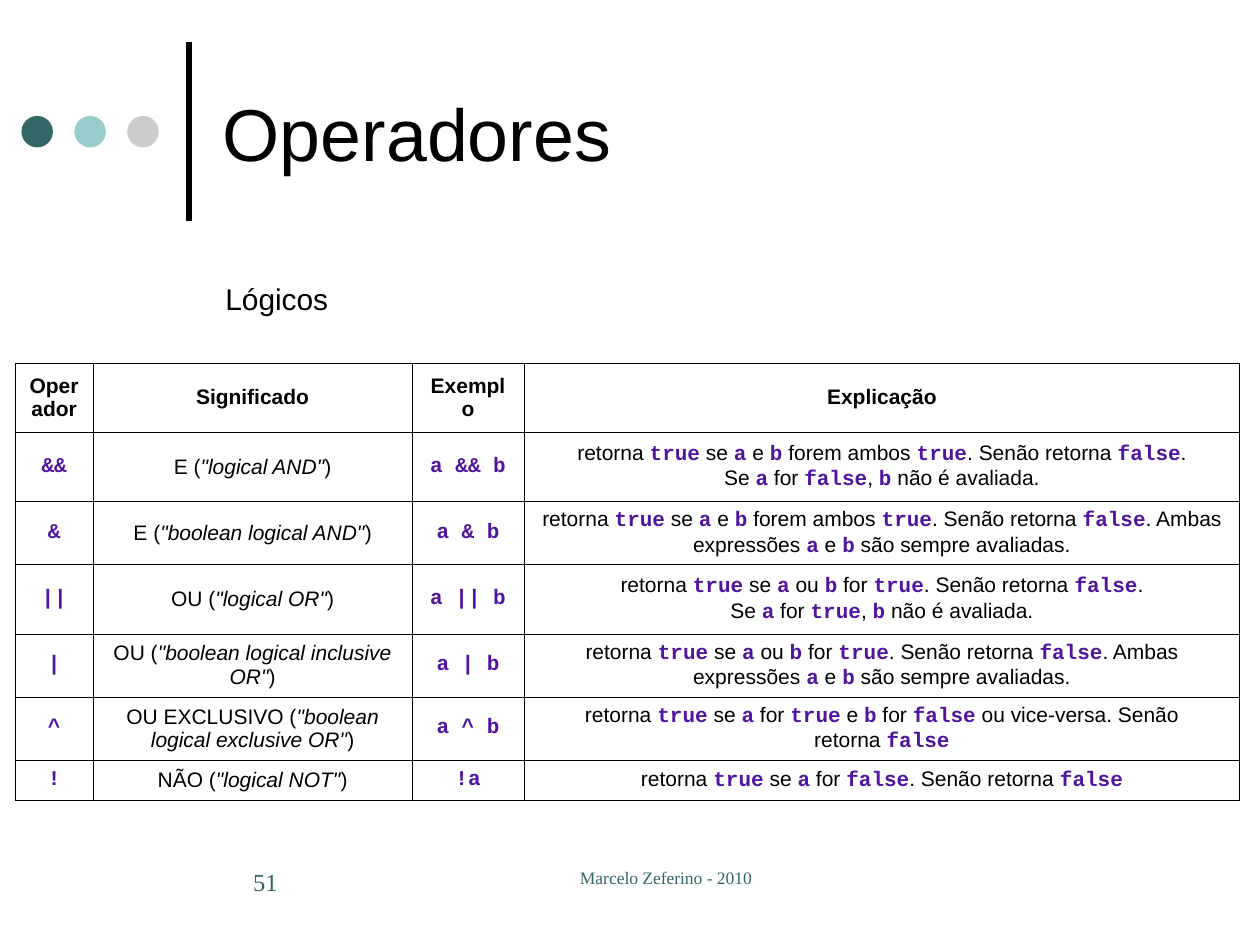
import dataclasses

import lxml.etree
import pptx
import pptx.dml.color
import pptx.enum.shapes
import pptx.enum.text
import pptx.oxml
import pptx.oxml.ns
import pptx.util

Inches = pptx.util.Inches
Pt = pptx.util.Pt
Align = pptx.enum.text.PP_ALIGN
Anchor = pptx.enum.text.MSO_ANCHOR
NO_BREAK_SPACE = chr(160)


@dataclasses.dataclass(frozen=True)
class Theme:
    black: str = "000000"
    white: str = "FFFFFF"
    teal: str = "336666"
    aqua: str = "99CCCC"
    grey: str = "CCCCCC"
    purple: str = "5014A0"
    sans: str = "Arial"
    mono: str = "Courier New"
    serif: str = "Times New Roman"
    title_size: float = 42
    body_size: float = 17.1
    table_size: float = 12
    footer_size: float = 10
    number_size: float = 14
    rule_width: float = 3
    border_width: float = 0.34


def rgb(value):
    return pptx.dml.color.RGBColor.from_string(value)


def explanation_spans(marked_text):
    spans = []
    for index, part in enumerate(marked_text.split("`")):
        if index % 2:
            spans.append((part, "code"))
        elif part:
            start = NO_BREAK_SPACE if part.startswith(" ") else ""
            end = NO_BREAK_SPACE if part.endswith(" ") else ""
            spans.append((start + part.strip() + end, "plain"))
    return spans


class SlideBuilder:
    """Draws styled elements on the current slide."""

    def __init__(self, slide, theme):
        self.slide = slide
        self.theme = theme

    def style(self, span, size, font, color, bold=False, italic=False):
        span.font.size = Pt(size)
        span.font.name = font
        span.font.color.rgb = rgb(color)
        span.font.bold = bold
        span.font.italic = italic

    def dot(self, left, top, size, color):
        shape = self.slide.shapes.add_shape(
            pptx.enum.shapes.MSO_SHAPE.OVAL,
            Inches(left), Inches(top), Inches(size), Inches(size))
        shape.shadow.inherit = False
        shape.fill.solid()
        shape.fill.fore_color.rgb = rgb(color)
        shape.line.fill.background()

    def rule(self, x, start, end):
        line = self.slide.shapes.add_connector(
            pptx.enum.shapes.MSO_CONNECTOR.STRAIGHT,
            Inches(x), Inches(start), Inches(x), Inches(end))
        line.line.color.rgb = rgb(self.theme.black)
        line.line.width = Pt(self.theme.rule_width)
        lxml.etree.SubElement(line._element.spPr, pptx.oxml.ns.qn("a:effectLst"))

    def text(self, place, text, size, font, color, anchor=Anchor.TOP,
             align=Align.LEFT, indent=0, first=0, before=0):
        box = self.slide.shapes.add_textbox(*(Inches(value) for value in place))
        frame = box.text_frame
        frame.word_wrap = True
        frame.vertical_anchor = anchor
        frame.text = text
        para = frame.paragraphs[0]
        para.alignment = align
        para.space_before = Pt(before)
        properties = para._p.get_or_add_pPr()
        properties.set("marL", str(Inches(indent)))
        properties.set("indent", str(Inches(first)))
        self.style(para.runs[0], size, font, color)

    def cell(self, cell, spans):
        theme = self.theme
        looks = {
            "header": (theme.sans, theme.black, True, False),
            "code": (theme.mono, theme.purple, True, False),
            "plain": (theme.sans, theme.black, False, False),
            "italic": (theme.sans, theme.black, False, True),
        }
        cell.vertical_anchor = Anchor.MIDDLE
        para = cell.text_frame.paragraphs[0]
        para.alignment = Align.CENTER
        for text, look in spans:
            span = para.add_run()
            span.text = text
            self.style(span, theme.table_size, *looks[look])
        self.borders(cell)
        cell.fill.solid()
        cell.fill.fore_color.rgb = rgb(theme.white)

    def borders(self, cell):
        properties = cell._tc.get_or_add_tcPr()
        for side in ("lnL", "lnR", "lnT", "lnB"):
            properties.append(pptx.oxml.parse_xml(
                f'<a:{side} {pptx.oxml.ns.nsdecls("a")} w="{Pt(self.theme.border_width)}">'
                f'<a:solidFill><a:srgbClr val="{self.theme.black}"/></a:solidFill>'
                f'</a:{side}>'))

    def table(self, left, top, widths, heights, rows):
        table = self.slide.shapes.add_table(
            len(heights), len(widths), Inches(left), Inches(top),
            Inches(sum(widths)), Inches(sum(heights))).table
        table.first_row = False
        table.horz_banding = False
        for column, width in zip(table.columns, widths):
            column.width = Inches(width)
        for row, height, contents in zip(table.rows, heights, rows):
            row.height = Inches(height)
            for cell, spans in zip(row.cells, contents):
                self.cell(cell, spans)


HEADERS = ("Operador", "Significado", "Exemplo", "Explicação")
OPERATORS = (
    ("&&", "E", "logical AND", "a && b",
     "retorna `true` se `a` e `b` forem ambos `true`. Senão retorna `false`. Se `a` for `false`, `b` não é avaliada."),
    ("&", "E", "boolean logical AND", "a & b",
     "retorna `true` se `a` e `b` forem ambos `true`. Senão retorna `false`. Ambas expressões `a` e `b` são sempre avaliadas."),
    ("||", "OU", "logical OR", "a || b",
     "retorna `true` se `a` ou `b` for `true`. Senão retorna `false`. Se `a` for `true`, `b` não é avaliada."),
    ("|", "OU", "boolean logical inclusive OR", "a | b",
     "retorna `true` se `a` ou `b` for `true`. Senão retorna `false`. Ambas expressões `a` e `b` são sempre avaliadas."),
    ("^", "OU EXCLUSIVO", "boolean logical exclusive OR", "a ^ b",
     "retorna `true` se `a` for `true` e `b` for `false` ou vice-versa. Senão retorna `false`"),
    ("!", "NÃO", "logical NOT", "!a",
     "retorna `true` se `a` for `false`. Senão retorna `false`"),
)


def main():
    deck = pptx.Presentation()
    deck.slide_width = Inches(10)
    deck.slide_height = Inches(7.5)
    theme = Theme()
    page = SlideBuilder(deck.slides.add_slide(deck.slide_layouts[6]), theme)

    page.rule(1.5, 1.75, 0.33)
    for index, color in enumerate((theme.teal, theme.aqua, theme.grey)):
        page.dot(0.17 + 0.42 * index, 0.92, 0.25, color)
    page.text((1.67, 0.21, 7.67, 1.67), "Operadores", theme.title_size,
              theme.sans, theme.black, anchor=Anchor.MIDDLE)

    rows = [[[(header, "header")] for header in HEADERS]]
    for symbol, meaning, english, example, explanation in OPERATORS:
        rows.append([
            [(symbol, "code")],
            [(f"{meaning} (", "plain"), (f'"{english}"', "italic"), (")", "plain")],
            [(example, "code")],
            explanation_spans(explanation),
        ])
    page.table(0.12, 2.88, (0.62, 2.53, 0.89, 5.68),
               (0.55, 0.55, 0.5, 0.55, 0.5, 0.5, 0.32), rows)

    page.text((1.69, 2.18, 3.75, 0.41), "Lógicos", theme.body_size,
              theme.sans, theme.black, indent=0.38, first=-0.38, before=5.5)
    page.text((3.58, 6.83, 3.17, 0.5), "Marcelo Zeferino - 2010", theme.footer_size,
              theme.serif, theme.teal, align=Align.CENTER, indent=0.24)
    page.text((1.67, 6.83, 1.42, 0.5), "51", theme.number_size,
              theme.serif, theme.teal, indent=0.24)
    deck.save("out.pptx")


if __name__ == "__main__":
    main()
